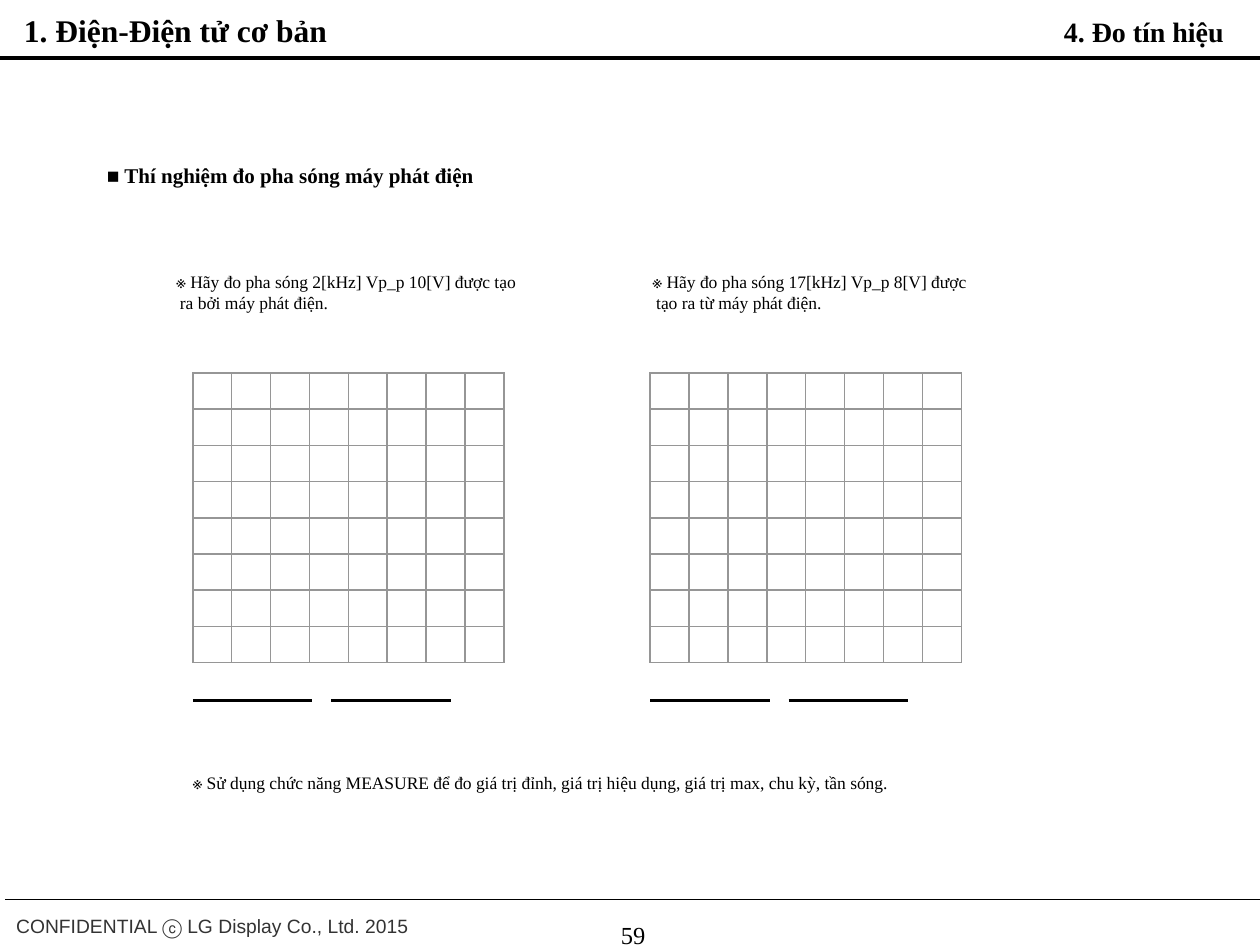
import dataclasses

import lxml.etree
import pptx
import pptx.dml.color
import pptx.enum.shapes
import pptx.enum.text
import pptx.oxml.ns
import pptx.util
from pptx.util import Inches


@dataclasses.dataclass(frozen=True)
class Theme:
    serif: str = "Times New Roman"
    sans: str = "Arial"
    ink: str = "000000"
    footer_ink: str = "333333"
    grid: str = "969696"
    title: int = 18
    section: int = 16
    page_number: int = 14
    heading: int = 12
    footer: int = 11
    body: int = 10


theme = Theme()
ALIGN = pptx.enum.text.PP_ALIGN
qname = pptx.oxml.ns.qn


def place_text(box, place, lines, size, bold=False, align=ALIGN.LEFT, face=theme.serif, color=theme.ink):
    box.left, box.top, box.width, box.height = map(Inches, place)
    frame = box.text_frame
    frame.word_wrap = True
    frame.auto_size = pptx.enum.text.MSO_AUTO_SIZE.NONE
    frame.vertical_anchor = pptx.enum.text.MSO_ANCHOR.TOP
    frame.text = "\n".join(lines)
    for para in frame.paragraphs:
        para.alignment = align
        para.font.name = face
        para.font.size = pptx.util.Pt(size)
        para.font.bold = bold
        para.font.color.rgb = pptx.dml.color.RGBColor.from_string(color)
    return frame


def draw_rule(left, top, width, weight):
    rule = page.shapes.add_connector(
        pptx.enum.shapes.MSO_CONNECTOR.STRAIGHT,
        Inches(left), Inches(top), Inches(left + width), Inches(top))
    rule.line.color.rgb = pptx.dml.color.RGBColor.from_string(theme.ink)
    rule.line.width = pptx.util.Pt(weight)
    lxml.etree.SubElement(rule._element.spPr, qname("a:effectLst"))


deck = pptx.Presentation()
deck.slide_width, deck.slide_height = Inches(10), Inches(7.5)
page = deck.slides.add_slide(deck.slide_layouts[5])


footer = page.shapes.add_textbox(0, 0, 0, 0)
frame = place_text(footer, (0.03, 7.17, 3.4, 0.3), ["CONFIDENTIAL ⓒ LG Display Co., Ltd. 2015"],
                   theme.footer, face=theme.sans, color=theme.footer_ink)
frame.paragraphs[0].line_spacing = 1.2
draw_rule(0.04, 7.14, 10, 0.75)
draw_rule(0, 0.46, 10, 2.25)

number = page.shapes.add_textbox(0, 0, 0, 0)
frame = place_text(number, (3.86, 7.18, 2.33, 0.52), ["59"], theme.page_number, align=ALIGN.CENTER)
frame.margin_top = Inches(0.12)

place_text(page.shapes.title, (0.09, 0.04, 2.69, 0.4), ["1. Điện-Điện tử cơ bản"], theme.title, bold=True)
section = page.shapes.add_textbox(0, 0, 0, 0)
place_text(section, (8.22, 0.07, 1.59, 0.37), ["4. Đo tín hiệu"], theme.section, bold=True, align=ALIGN.RIGHT)
heading = page.shapes.add_textbox(0, 0, 0, 0)
place_text(heading, (0.75, 1.24, 3.18, 0.3), ["■ Thí nghiệm đo pha sóng máy phát điện"],
           theme.heading, bold=True)

GRID_COUNT = 8
GRID_WIDTH, GRID_HEIGHT = 2.47, 2.3
experiments = [
    (1.53, 1.3, 3, ["※ Hãy đo pha sóng 2[kHz] Vp_p 10[V] được tạo", "ra bởi máy phát điện."]),
    (5.16, 5.08, 2.83, ["※ Hãy đo pha sóng 17[kHz] Vp_p 8[V] được", "tạo ra từ máy phát điện."]),
]
for grid_left, task_left, task_width, task_lines in experiments:
    grid = page.shapes.add_table(GRID_COUNT, GRID_COUNT, Inches(grid_left), Inches(2.96),
                                 Inches(GRID_WIDTH), Inches(GRID_HEIGHT)).table
    grid.first_row = grid.horz_banding = False
    for column in grid.columns:
        column.width = Inches(GRID_WIDTH / GRID_COUNT)
    for row in grid.rows:
        row.height = Inches(GRID_HEIGHT / GRID_COUNT)
    for cell in grid.iter_cells():
        cell.margin_top = cell.margin_bottom = 0
        cell.text_frame.paragraphs[0]._p.get_or_add_endParaRPr().set("sz", str(theme.body * 100))
        properties = cell._tc.get_or_add_tcPr()
        for side in ("lnL", "lnR", "lnT", "lnB"):
            border = lxml.etree.SubElement(properties, qname(f"a:{side}"), w=str(pptx.util.Pt(1)))
            fill = lxml.etree.SubElement(border, qname("a:solidFill"))
            lxml.etree.SubElement(fill, qname("a:srgbClr"), val=theme.grid)
        cell.fill.background()

    for offset in (0, 1.1):
        draw_rule(grid_left + offset, 5.56, 0.95, 1.5)

    task = page.shapes.add_textbox(0, 0, 0, 0)
    frame = place_text(task, (task_left, 2.1, task_width, 0.44), task_lines, theme.body)
    frame.paragraphs[1]._p.get_or_add_pPr().set("marL", str(Inches(0.03)))

note = page.shapes.add_textbox(0, 0, 0, 0)
place_text(note, (1.43, 6.08, 5.86, 0.27),
           ["※ Sử dụng chức năng MEASURE để đo giá trị đỉnh, giá trị hiệu dụng, "
            "giá trị max, chu kỳ, tần sóng."], theme.body)

deck.save("out.pptx")
